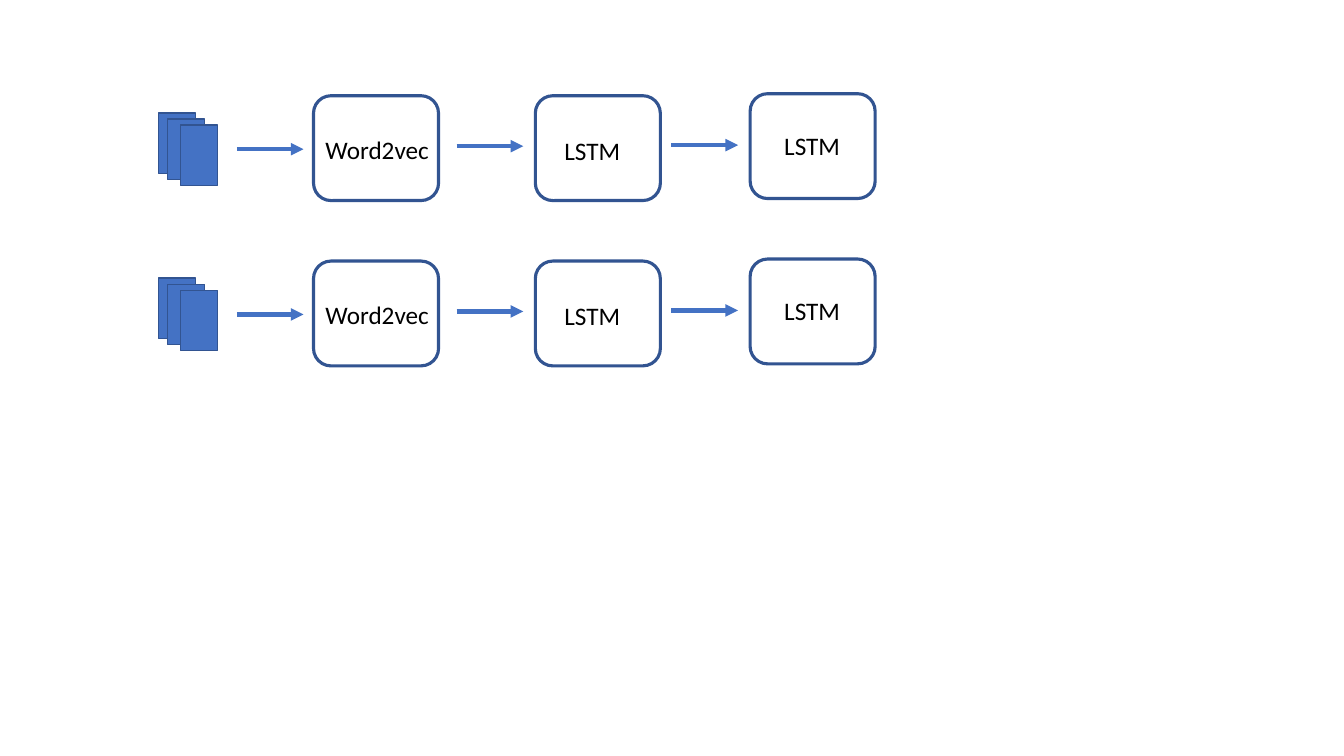
from typing import NamedTuple

from lxml import etree
from pptx import Presentation
from pptx.dml.color import RGBColor
from pptx.enum.shapes import MSO_CONNECTOR, MSO_SHAPE
from pptx.enum.text import MSO_AUTO_SIZE
from pptx.oxml.ns import qn
from pptx.shapes.group import GroupShape
from pptx.util import Emu, Pt

RECT = MSO_SHAPE.RECTANGLE
ROUNDED = MSO_SHAPE.ROUNDED_RECTANGLE
STRAIGHT = MSO_CONNECTOR.STRAIGHT
FIT_SHAPE = MSO_AUTO_SIZE.SHAPE_TO_FIT_TEXT

BLUE = RGBColor(0x44, 0x72, 0xC4)
DARK_BLUE = RGBColor(0x32, 0x54, 0x91)
BLACK = RGBColor(0, 0, 0)
FONT = "Calibri"

EMU_PER_PX = 9144  # 100 px to the inch
SLIDE_W, SLIDE_H = 1333, 750
ROW_STEP, ROW_COUNT = 164, 2
PAGE_W, PAGE_H = 37, 60
ARROW_LENGTH = 66
STAGE_W, STAGE_H = 124, 104
LABEL_H = 40


class Point(NamedTuple):
    x: int
    y: int


class Stage(NamedTuple):
    """A rounded box with its label and the arrow that leads to it."""
    arrow: Point
    box: Point
    label: Point
    label_w: int
    text: str


PAGES = [Point(157, 112), Point(166, 118), Point(179, 124)]
STAGES = [
    Stage(Point(235, 148), Point(311, 95), Point(313, 128), 124, "Word2vec"),
    Stage(Point(453, 145), Point(531, 95), Point(550, 129), 76, "LSTM"),
    Stage(Point(666, 144), Point(744, 93), Point(768, 124), 76, "LSTM"),
]


def px(n: int) -> Emu:
    return Emu(n * EMU_PER_PX)


def add_page(row: GroupShape, at: Point, dy: int) -> None:
    s = row.shapes.add_shape(RECT, px(at.x), px(at.y + dy), px(PAGE_W), px(PAGE_H))
    s.shadow.inherit = False
    s.fill.solid()
    s.fill.fore_color.rgb = BLUE
    s.line.color.rgb = DARK_BLUE
    s.line.width = Pt(1)


def add_arrow(row: GroupShape, start: Point, dy: int) -> None:
    y = px(start.y + dy)
    s = row.shapes.add_connector(STRAIGHT, px(start.x), y, px(start.x + ARROW_LENGTH), y)
    s.line.color.rgb = BLUE
    s.line.width = Pt(3)
    etree.SubElement(s.line._get_or_add_ln(), qn("a:tailEnd"), type="triangle")
    etree.SubElement(s._element.spPr, qn("a:effectLst"))


def add_box(row: GroupShape, at: Point, dy: int) -> None:
    s = row.shapes.add_shape(ROUNDED, px(at.x), px(at.y + dy), px(STAGE_W), px(STAGE_H))
    s.shadow.inherit = False
    s.fill.background()
    s.line.color.rgb = DARK_BLUE
    s.line.width = Pt(2.25)


def add_label(row: GroupShape, stage: Stage, dy: int) -> None:
    at = stage.label
    s = row.shapes.add_textbox(px(at.x), px(at.y + dy), px(stage.label_w), px(LABEL_H))
    tf = s.text_frame
    tf.word_wrap = False
    tf.auto_size = FIT_SHAPE
    p = tf.paragraphs[0]
    p.text = stage.text
    p.font.name = FONT
    p.font.size = Pt(18)
    p.font.color.rgb = BLACK


def main() -> None:
    prs = Presentation()
    prs.slide_width, prs.slide_height = px(SLIDE_W), px(SLIDE_H)
    slide = prs.slides.add_slide(prs.slide_layouts[6])
    for i in range(ROW_COUNT):
        row = slide.shapes.add_group_shape()
        dy = i * ROW_STEP
        for page in PAGES:
            add_page(row, page, dy)
        for stage in STAGES:
            add_arrow(row, stage.arrow, dy)
            add_box(row, stage.box, dy)
            add_label(row, stage, dy)
    prs.save("out.pptx")


if __name__ == "__main__":
    main()
